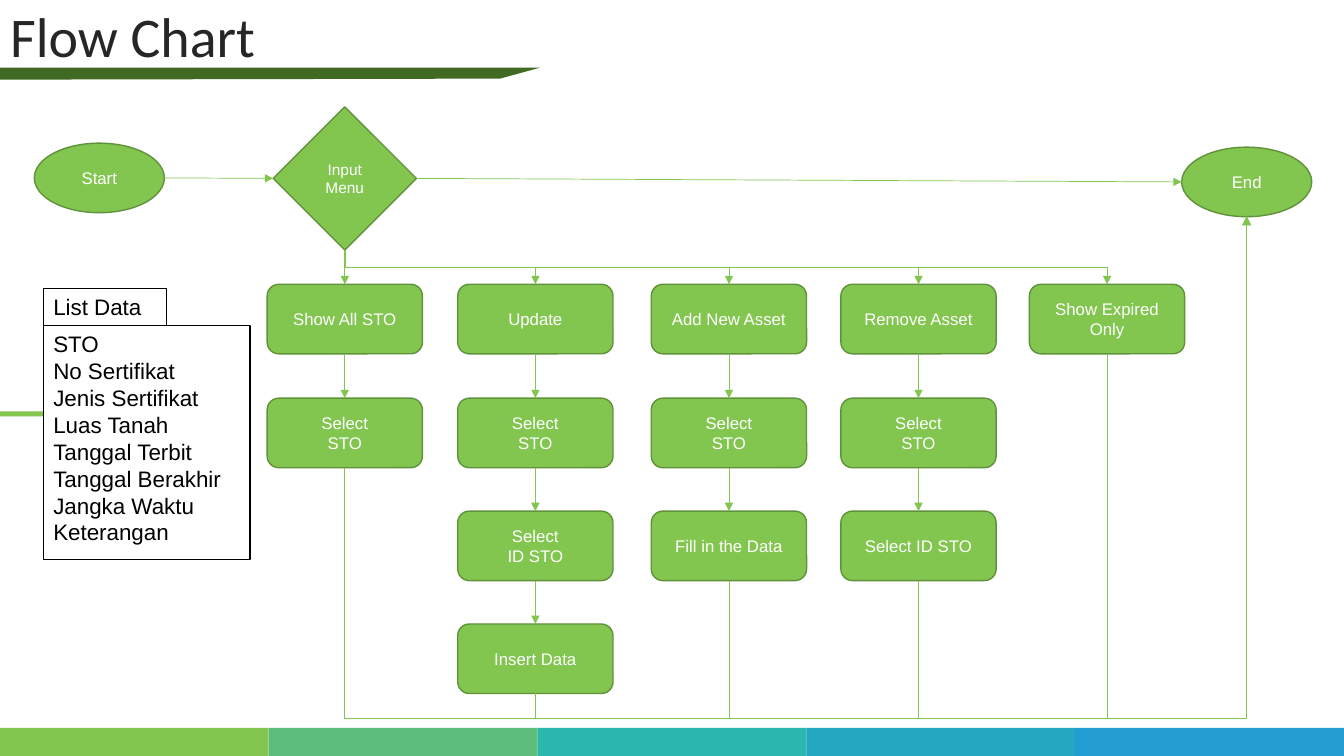
from dataclasses import dataclass
from itertools import pairwise
from typing import NamedTuple, Optional

from lxml.etree import SubElement
from pptx import Presentation
from pptx.dml.color import RGBColor
from pptx.enum.shapes import MSO_CONNECTOR as Link, MSO_SHAPE as Preset
from pptx.enum.text import MSO_ANCHOR as Anchor, MSO_AUTO_SIZE as AutoSize, PP_ALIGN as Align
from pptx.oxml.ns import qn
from pptx.shapes.autoshape import Shape
from pptx.shapes.connector import Connector
from pptx.slide import Slide
from pptx.text.text import TextFrame
from pptx.util import Inches, Pt


@dataclass(frozen=True)
class Theme:
    green: str = "82C650"
    outline: str = "60923B"
    title_bar: str = "406922"
    title_ink: str = "262626"
    white: str = "FFFFFF"
    black: str = "000000"
    footer: tuple[str, ...] = ("82C650", "5CBE7A", "2CB8AE", "24A8C2", "249ED2")
    body_font: str = "Arial"
    title_font: str = "Calibri"
    title_size: int = 40
    list_size: int = 16
    step_size: int = 12
    decision_size: int = 11


class Box(NamedTuple):
    left: float
    top: float
    width: float
    height: float

    @property
    def center_x(self) -> float:
        return self.left + self.width / 2

    @property
    def center_y(self) -> float:
        return self.top + self.height / 2

    @property
    def bottom(self) -> float:
        return self.top + self.height

    @property
    def right(self) -> float:
        return self.left + self.width


@dataclass(frozen=True)
class Node:
    box: Box
    lines: tuple[str, ...]
    preset: Preset = Preset.ROUNDED_RECTANGLE
    size: int = 12


class Branch(NamedTuple):
    left: float
    steps: tuple[tuple[str, ...], ...]


THEME = Theme()
SLIDE_WIDTH, SLIDE_HEIGHT = 13.33, 7.5
STEP_WIDTH, STEP_HEIGHT = 1.54, 0.69
ROW_TOPS = (2.82, 3.95, 5.07, 6.19)
FORK_Y, RETURN_Y = 2.65, 7.13

START = Node(Box(0.34, 1.42, 1.29, 0.69), ("Start",), Preset.OVAL)
END = Node(Box(11.72, 1.46, 1.29, 0.69), ("End",), Preset.OVAL)
MENU = Node(Box(2.71, 1.06, 1.42, 1.42), ("Input Menu",), Preset.DIAMOND, THEME.decision_size)

SELECT_STO = ("Select", "STO")
BRANCHES = (
    Branch(2.65, (("Show All STO",), SELECT_STO)),
    Branch(4.54, (("Update",), SELECT_STO, ("Select", "ID STO"), ("Insert Data",))),
    Branch(6.46, (("Add New Asset",), SELECT_STO, ("Fill in the Data",))),
    Branch(8.34, (("Remove Asset",), SELECT_STO, ("Select ID STO",))),
    Branch(10.21, (("Show Expired Only",),)),
)
LIST_FIELDS = ("STO", "No Sertifikat", "Jenis Sertifikat", "Luas Tanah", "Tanggal Terbit",
               "Tanggal Berakhir", "Jangka Waktu", "Keterangan")


def write(frame: TextFrame, lines: tuple[str, ...], size: int, color: str,
          align: Align, font: str = THEME.body_font) -> None:
    frame.word_wrap = True
    for index, line in enumerate(lines):
        paragraph = frame.add_paragraph() if index else frame.paragraphs[0]
        paragraph.alignment = align
        run = paragraph.add_run()
        run.text = line
        run.font.name = font
        run.font.size = Pt(size)
        run.font.color.rgb = RGBColor.from_string(color)


def paint(shape: Shape, fill: str, line: Optional[str] = None) -> None:
    shape.shadow.inherit = False
    shape.fill.solid()
    shape.fill.fore_color.rgb = RGBColor.from_string(fill)
    if line:
        shape.line.color.rgb = RGBColor.from_string(line)
        shape.line.width = Pt(1)
    else:
        shape.line.fill.background()


def add_block(slide: Slide, preset: Preset, box: Box, fill: str,
              line: Optional[str] = None) -> Shape:
    block = slide.shapes.add_shape(preset, *map(Inches, box))
    paint(block, fill, line)
    return block


def add_node(slide: Slide, node: Node) -> Shape:
    shape = add_block(slide, node.preset, node.box, THEME.green, THEME.outline)
    shape.text_frame.vertical_anchor = Anchor.MIDDLE
    write(shape.text_frame, node.lines, node.size, THEME.white, Align.CENTER)
    return shape


def add_list_box(slide: Slide, box: Box, lines: tuple[str, ...]) -> None:
    shape = add_block(slide, Preset.RECTANGLE, box, THEME.white, THEME.black)
    shape.text_frame.vertical_anchor = Anchor.TOP
    shape.text_frame.auto_size = AutoSize.SHAPE_TO_FIT_TEXT
    write(shape.text_frame, lines, THEME.list_size, THEME.black, Align.LEFT)


def add_arrow(slide: Slide, kind: Link, x1: float, y1: float, x2: float, y2: float) -> Connector:
    arrow = slide.shapes.add_connector(kind, *map(Inches, (x1, y1, x2, y2)))
    arrow.line.color.rgb = RGBColor.from_string(THEME.green)
    arrow.line.width = Pt(0.5)
    properties = arrow.element.spPr
    SubElement(properties.find(qn("a:ln")), qn("a:tailEnd"), type="triangle")
    SubElement(properties, qn("a:effectLst"))
    return arrow


def add_down_arrow(slide: Slide, upper: Shape, lower: Shape) -> None:
    arrow = add_arrow(slide, Link.STRAIGHT, 0, 0, 1, 1)
    arrow.begin_connect(upper, 2)
    arrow.end_connect(lower, 0)


def add_elbow(slide: Slide, x1: float, y1: float, x2: float, y2: float, via_y: float) -> None:
    """Leave vertically, cross to the right at via_y, and arrive vertically."""
    elbow = add_arrow(slide, Link.ELBOW, x1, y1, x2, y2)
    run, rise = x2 - x1, abs(y2 - y1)
    elbow.left, elbow.top = Inches((x1 + x2 - rise) / 2), Inches((y1 + y2 - run) / 2)
    elbow.width, elbow.height = Inches(rise), Inches(run)
    goes_down = y2 > y1
    frame = elbow.element.spPr.find(qn("a:xfrm"))
    frame.set("rot", str((270 if goes_down else 90) * 60000))
    frame.set("flipH", "1")
    frame.set("flipV", "0" if goes_down else "1")
    geometry = elbow.element.spPr.find(qn("a:prstGeom"))
    guides = geometry.find(qn("a:avLst"))
    if guides is None:
        guides = SubElement(geometry, qn("a:avLst"))
    bend = round(100000 * (via_y - y1) / (y2 - y1))
    SubElement(guides, qn("a:gd"), name="adj1", fmla=f"val {bend}")


def add_frame(slide: Slide) -> None:
    """Footer bands, side rule, title bar and title."""
    band = SLIDE_WIDTH / len(THEME.footer)
    for index, color in enumerate(THEME.footer):
        add_block(slide, Preset.RECTANGLE, Box(index * band, 7.22, band, 0.28), color)
    add_block(slide, Preset.RECTANGLE, Box(0, 4.08, 1.93, 0.05), THEME.green)
    outline = slide.shapes.build_freeform(0, Inches(0.67))
    corners = ((5.36, 0.67), (4.96, 0.78), (0, 0.79))
    outline.add_line_segments([(Inches(x), Inches(y)) for x, y in corners], close=True)
    paint(outline.convert_to_shape(), THEME.title_bar)

    title = slide.shapes.title
    title.left, title.top, title.width, title.height = map(Inches, (0, 0, 12.66, 0.79))
    title.text_frame.vertical_anchor = Anchor.MIDDLE
    write(title.text_frame, ("Flow Chart",), THEME.title_size, THEME.title_ink,
          Align.LEFT, THEME.title_font)
    title.text_frame.paragraphs[0].line_spacing = 0.9


def add_branch(slide: Slide, branch: Branch, menu: Shape) -> None:
    boxes = [Box(branch.left, top, STEP_WIDTH, STEP_HEIGHT) for top in ROW_TOPS]
    steps = [add_node(slide, Node(box, lines)) for box, lines in zip(boxes, branch.steps)]
    for upper, lower in pairwise(steps):
        add_down_arrow(slide, upper, lower)
    first, last = boxes[0], boxes[len(steps) - 1]
    if branch is BRANCHES[0]:
        add_down_arrow(slide, menu, steps[0])
    else:
        add_elbow(slide, MENU.box.center_x, MENU.box.bottom, first.center_x, first.top, FORK_Y)
    add_elbow(slide, last.center_x, last.bottom, END.box.center_x, END.box.bottom, RETURN_Y)


def main() -> None:
    deck = Presentation()
    deck.slide_width, deck.slide_height = Inches(SLIDE_WIDTH), Inches(SLIDE_HEIGHT)
    slide = deck.slides.add_slide(deck.slide_layouts[5])
    add_frame(slide)
    add_list_box(slide, Box(0.43, 3.23, 2.05, 2.32), LIST_FIELDS)
    add_list_box(slide, Box(0.43, 2.86, 1.22, 0.37), ("List Data",))
    _, menu, _ = [add_node(slide, node) for node in (START, MENU, END)]
    for source, target in pairwise((START.box, MENU.box, END.box)):
        add_arrow(slide, Link.STRAIGHT, source.right, source.center_y, target.left, target.center_y)
    for branch in BRANCHES:
        add_branch(slide, branch, menu)
    deck.save("out.pptx")


if __name__ == "__main__":
    main()
